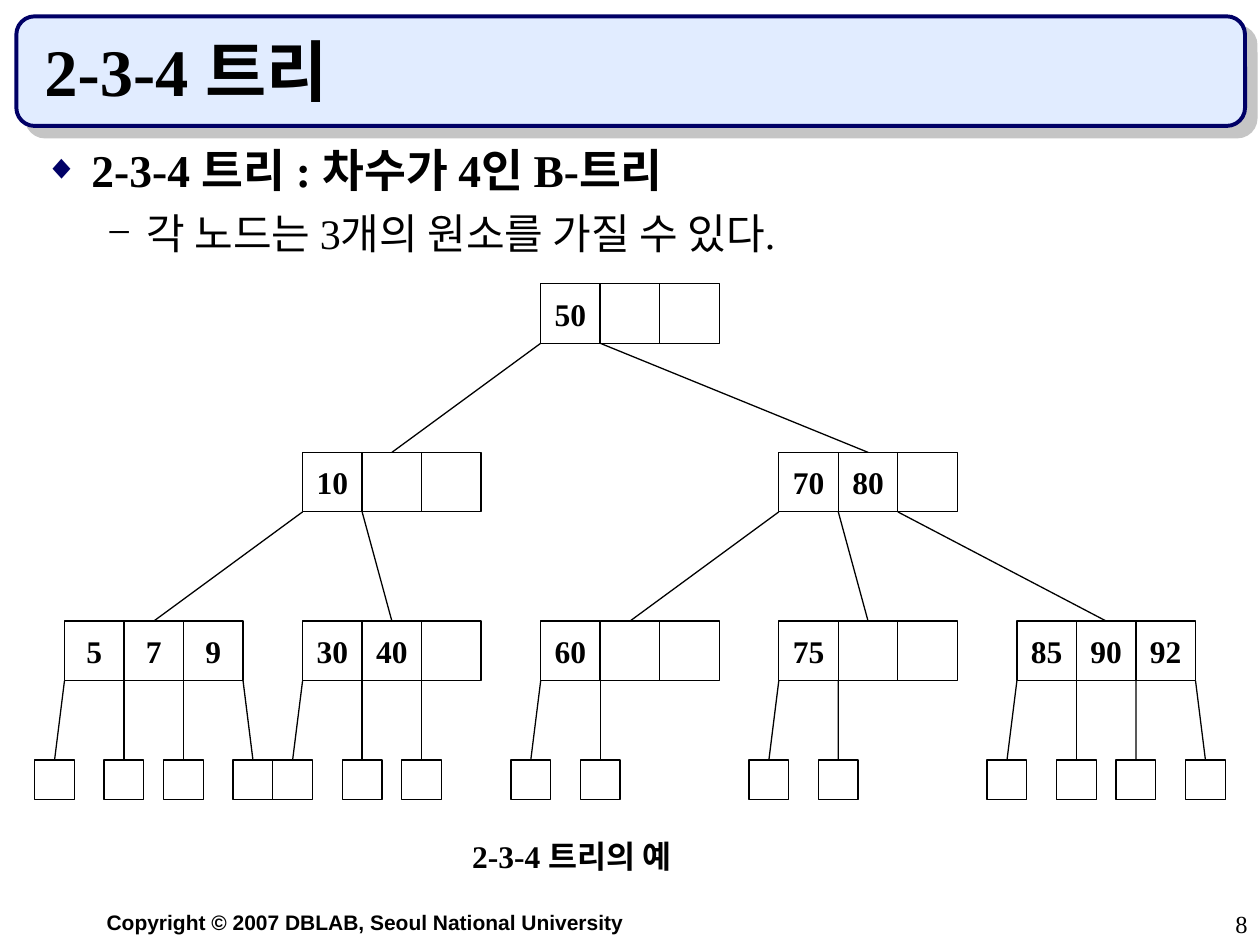
import dataclasses

import lxml.etree
import pptx
import pptx.dml.color
import pptx.enum.shapes
import pptx.enum.text
import pptx.oxml.ns
import pptx.util

Cm = pptx.util.Cm
Pt = pptx.util.Pt
PP_ALIGN = pptx.enum.text.PP_ALIGN
ANCHOR = pptx.enum.text.MSO_ANCHOR
FIT = pptx.enum.text.MSO_AUTO_SIZE
SHAPE = pptx.enum.shapes.MSO_SHAPE
qn = pptx.oxml.ns.qn


@dataclasses.dataclass(frozen=True)
class Theme:
    serif: str = "Times New Roman"
    sans: str = "Arial"
    ink: str = "000000"
    navy: str = "000066"
    pale: str = "E1ECFF"
    shadow: str = "B2B2B2"
    title: float = 38
    item: float = 26
    subitem: float = 24
    label: float = 18
    number: float = 14
    footer: float = 12
    line: float = 0.75
    band_line: float = 2.25


T = Theme()
CELL, LEAF, SLOTS = 1.2, 0.8, 3
COLUMN_STEP, ROW_STEP, LEAF_DROP, LEAF_SPREAD = 4.8, 3.4, 2.8, 0.2
TREE = (2, [50], [
    (1, [10], [(0, [5, 7, 9], []), (1, [30, 40], [])]),
    (3, [70, 80], [(2, [60], []), (3, [75], []), (4, [85, 90, 92], [])]),
])


def rgb(value):
    return pptx.dml.color.RGBColor.from_string(value)


def apply(obj, values):
    for name, value in values.items():
        setattr(obj, name, value)


def box_format(box):
    return dict(zip(("left", "top", "width", "height"), map(Cm, box)))


def write(p, text, size, font=T.serif, bold=True, **paragraph):
    apply(p, {"space_before": Pt(0), "alignment": PP_ALIGN.LEFT, **paragraph})
    r = p.add_run()
    r.text = text
    apply(r.font, {"name": font, "size": Pt(size), "bold": bold})
    r.font.color.rgb = rgb(T.ink)


def add_bullet(p, char, color, percent, margin, indent):
    pPr = p._p.get_or_add_pPr()
    apply_xml = {"marL": Cm(margin), "indent": Cm(indent)}
    for name, value in apply_xml.items():
        pPr.set(name, str(value))
    clr = lxml.etree.SubElement(pPr, qn("a:buClr"))
    lxml.etree.SubElement(clr, qn("a:srgbClr"), val=color)
    lxml.etree.SubElement(pPr, qn("a:buSzPct"), val=str(percent * 1000))
    lxml.etree.SubElement(pPr, qn("a:buFont"), typeface=T.serif)
    lxml.etree.SubElement(pPr, qn("a:buChar"), char=char)


def add_band(s, box):
    sp = s.shapes.add_shape(SHAPE.ROUNDED_RECTANGLE, *map(Cm, box))
    sp.fill.solid()
    sp.fill.fore_color.rgb = rgb(T.pale)
    sp.line.color.rgb = rgb(T.navy)
    sp.line.width = Pt(T.band_line)
    sp.shadow.inherit = False
    effects = sp.element.spPr.find(qn("a:effectLst"))
    shadow = lxml.etree.SubElement(
        effects, qn("a:outerShdw"), blurRad="0", dist=str(Pt(8.5)),
        dir="2700000", algn="ctr", rotWithShape="0")
    clr = lxml.etree.SubElement(shadow, qn("a:srgbClr"), val=T.shadow)
    lxml.etree.SubElement(clr, qn("a:alpha"), val="75000")
    s.shapes.title.element.addprevious(sp.element)


def add_title(s, box, text):
    left, top, width, height = box
    add_band(s, box)
    sp = s.shapes.title
    apply(sp, box_format((left + 0.31, top + 0.31, width - 0.84, height - 0.51)))
    tf = sp.text_frame
    apply(tf, {"vertical_anchor": ANCHOR.BOTTOM, "auto_size": FIT.NONE, "word_wrap": True})
    write(tf.paragraphs[0], text, T.title)


def add_body(s, box, item, subitem):
    sp = s.placeholders[1]
    apply(sp, box_format(box))
    tf = sp.text_frame
    apply(tf, {"vertical_anchor": ANCHOR.TOP, "auto_size": FIT.NONE, "word_wrap": True})
    p = tf.paragraphs[0]
    add_bullet(p, "◆", T.navy, 75, 0.95, -0.95)
    write(p, item, T.item)
    p = tf.add_paragraph()
    add_bullet(p, "−", T.ink, 100, 2.06, -0.79)
    write(p, subitem, T.subitem, bold=False, level=1, space_before=Pt(6))


def add_text(s, box, text, size, **style):
    tf = s.shapes.add_textbox(*map(Cm, box)).text_frame
    tf.word_wrap = True
    write(tf.paragraphs[0], text, size, **style)


def add_square(s, left, top, size, text=""):
    sp = s.shapes.add_shape(SHAPE.RECTANGLE, *map(Cm, (left, top, size, size)))
    sp.shadow.inherit = False
    sp.fill.background()
    sp.line.color.rgb = rgb(T.ink)
    sp.line.width = Pt(T.line)
    if text:
        tf = sp.text_frame
        apply(tf, {"word_wrap": False, "vertical_anchor": ANCHOR.MIDDLE})
        write(tf.paragraphs[0], text, T.label, alignment=PP_ALIGN.CENTER)
    return sp


def add_link(s, x, y, target):
    c = s.shapes.add_connector(
        pptx.enum.shapes.MSO_CONNECTOR.STRAIGHT, Cm(x), Cm(y), Cm(x), Cm(y))
    c.end_connect(target, 0)
    c.line.color.rgb = rgb(T.ink)
    c.line.width = Pt(T.line)
    lxml.etree.SubElement(c.element.spPr, qn("a:effectLst"))


def add_leaf(s, x, top, slot):
    shift = {0: -LEAF_SPREAD, SLOTS: LEAF_SPREAD}.get(slot, 0)
    return add_square(s, x + shift - LEAF / 2, top, LEAF)


def add_tree(s, left, top, node):
    column, keys, children = node
    x = left + column * COLUMN_STEP
    labels = [str(key) for key in keys] + [""] * (SLOTS - len(keys))
    cells = [add_square(s, x + i * CELL, top, CELL, label)
             for i, label in enumerate(labels)]
    for slot in range(len(keys) + 1):
        edge = x + slot * CELL
        if children:
            target = add_tree(s, left, top + ROW_STEP, children[slot])
        else:
            target = add_leaf(s, edge, top + LEAF_DROP, slot)
        add_link(s, edge, top + CELL, target)
    return cells[SLOTS // 2]


def main():
    prs = pptx.Presentation()
    apply(prs, {"slide_width": Cm(25.4), "slide_height": Cm(19.05)})
    s = prs.slides.add_slide(prs.slide_layouts[1])
    add_title(s, (0.33, 0.33, 24.77, 2.21), "2-3-4 트리")
    add_body(s, (0.64, 2.74, 23.93, 3.58),
             "2-3-4 트리 : 차수가 4인 B-트리",
             "각 노드는 3개의 원소를 가질 수 있다.")
    add_tree(s, 1.3, 5.72, TREE)
    add_text(s, (9.27, 16.74, 6.45, 1.02), "2-3-4 트리의 예", T.label,
             alignment=PP_ALIGN.JUSTIFY)
    add_text(s, (1.9, 18.21, 11, 0.76),
             "Copyright © 2007 DBLAB, Seoul National University",
             T.footer, font=T.sans)
    add_text(s, (20.12, 18.21, 5.28, 0.84), "8", T.number, bold=False,
             alignment=PP_ALIGN.RIGHT)
    prs.save("out.pptx")


if __name__ == "__main__":
    main()
